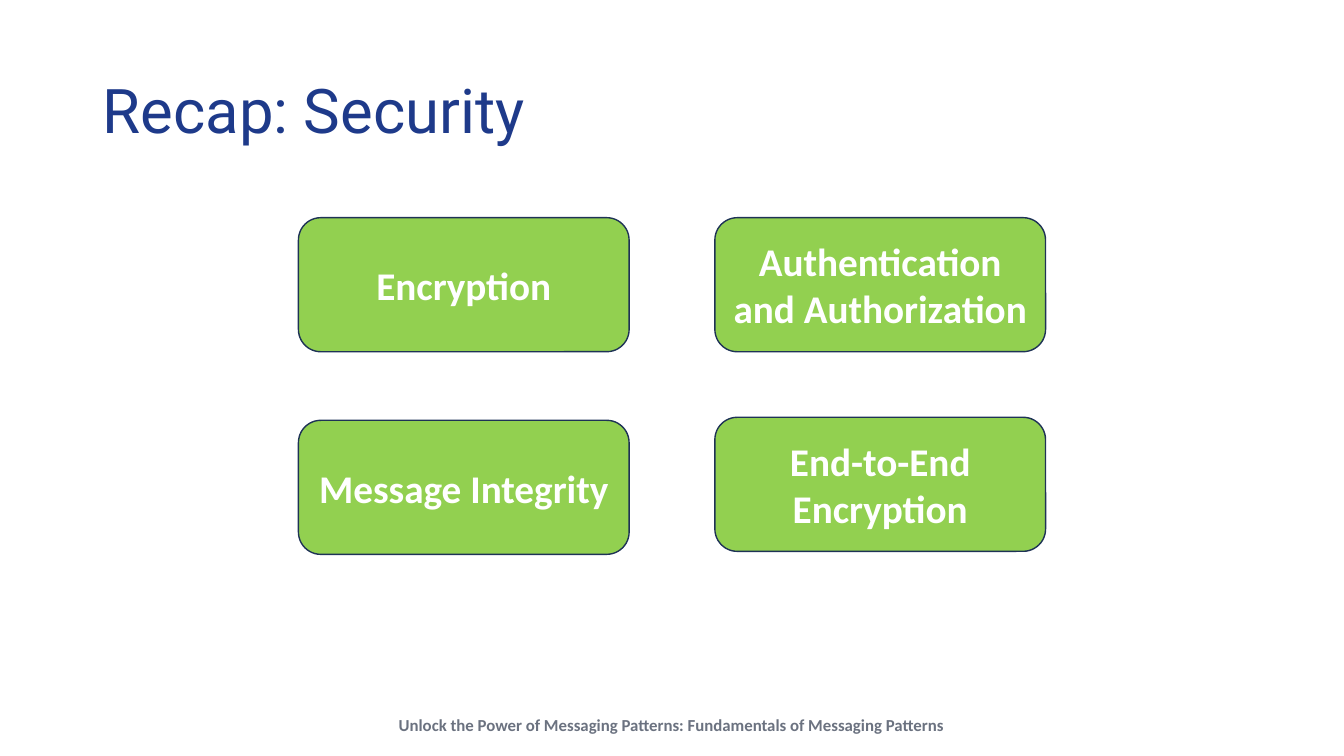
from pptx import Presentation
from pptx.dml.color import RGBColor
from pptx.enum.shapes import MSO_SHAPE as Shape
from pptx.enum.text import MSO_ANCHOR as Anchor, PP_ALIGN as Align
from pptx.util import Inches, Pt

LEFT_COLUMN, RIGHT_COLUMN = 2.96, 7.09
TOPICS = [
    ("Encryption", LEFT_COLUMN, 2.16),
    ("Authentication and Authorization", RIGHT_COLUMN, 2.16),
    ("Message Integrity", LEFT_COLUMN, 4.17),
    ("End-to-End Encryption", RIGHT_COLUMN, 4.14),
]


def color(hex_code):
    """Return the colour for a hex string."""
    return RGBColor.from_string(hex_code)


def write(frame, text, size, font, hex_code, bold=False, align=Align.CENTER):
    """Write one formatted run into the first paragraph of a frame."""
    paragraph = frame.paragraphs[0]
    paragraph.alignment = align
    run = paragraph.add_run()
    run.text = text
    run.font.size = Pt(size)
    run.font.name = font
    run.font.bold = bold
    run.font.color.rgb = color(hex_code)
    return paragraph


def add_title(slide, text):
    """Place and format the slide title."""
    title = slide.shapes.title
    title.left, title.top = Inches(0.92), Inches(0.4)
    title.width, title.height = Inches(11.5), Inches(1.45)
    title.text_frame.vertical_anchor = Anchor.MIDDLE
    heading = write(title.text_frame, text, 44, "Roboto", "1E3A8A", align=Align.LEFT)
    heading.line_spacing = 0.9


def add_topic(slide, text, left, top):
    """Add a green rounded card for one security topic."""
    card = slide.shapes.add_shape(
        Shape.ROUNDED_RECTANGLE, Inches(left), Inches(top), Inches(3.28), Inches(1.33))
    card.shadow.inherit = False
    card.fill.solid()
    card.fill.fore_color.rgb = color("92D050")
    card.line.color.rgb = color("1E3256")
    card.line.width = Pt(1)
    card.text_frame.word_wrap = True
    card.text_frame.vertical_anchor = Anchor.MIDDLE
    write(card.text_frame, text, 28, "Calibri", "FFFFFF", bold=True)


def add_footer(slide, text):
    """Add the centred course line at the bottom."""
    footer = slide.shapes.add_textbox(Inches(3.82), Inches(7.04), Inches(5.68), Inches(0.3))
    footer.text_frame.word_wrap = False
    write(footer.text_frame, text, 12, "Calibri", "6B7280", bold=True)


def main():
    """Build and save the security recap slide."""
    deck = Presentation()
    deck.slide_width, deck.slide_height = Inches(13.33), Inches(7.5)
    slide = deck.slides.add_slide(deck.slide_layouts[5])
    add_footer(slide, "Unlock the Power of Messaging Patterns: Fundamentals of Messaging Patterns")
    add_title(slide, "Recap: Security")
    for topic, left, top in TOPICS:
        add_topic(slide, topic, left, top)
    deck.save("out.pptx")


if __name__ == "__main__":
    main()
